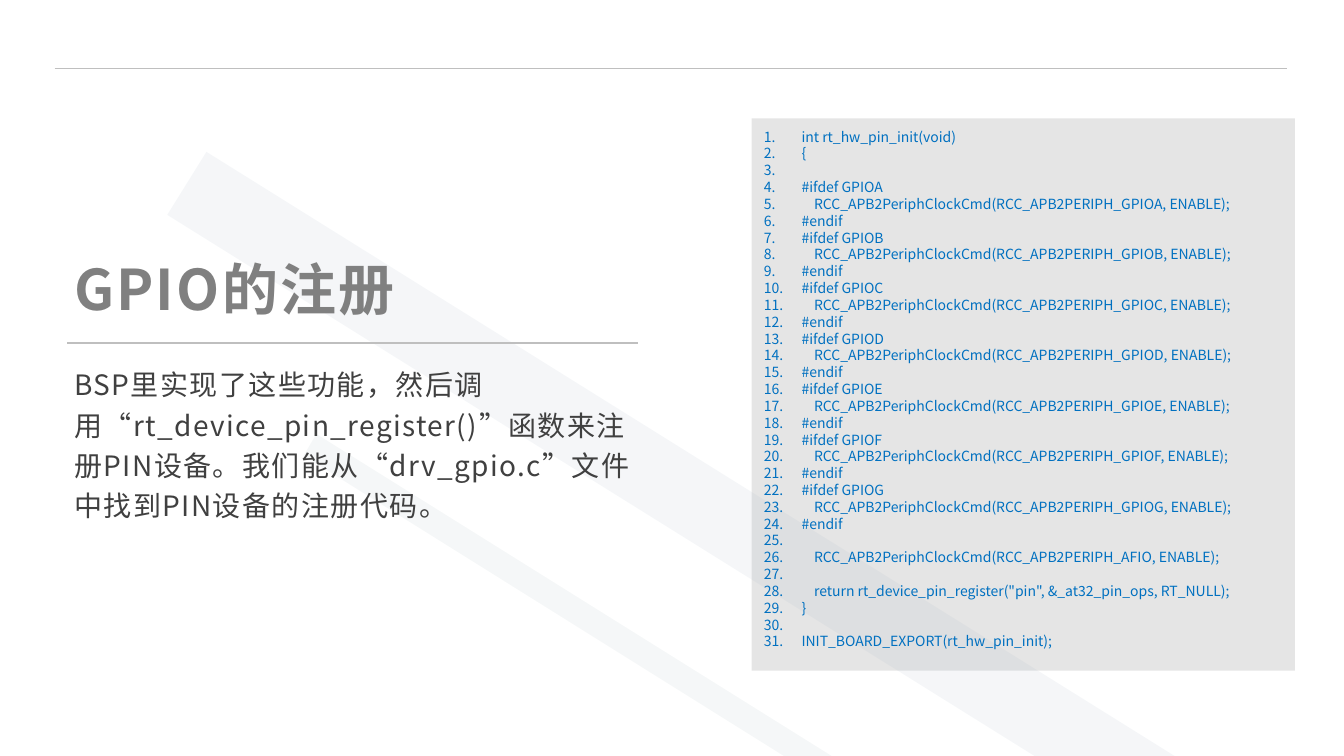
from pptx import Presentation
from pptx.dml.color import RGBColor
from pptx.enum import shapes, text
from pptx.oxml import ns, xmlchemy
from pptx.util import Pt

FONT = "Noto Sans CJK SC"
BLANK = " "  # no-break space, so that blank code lines keep their number


def add_xml(parent, tag, **attributes):
    child = xmlchemy.OxmlElement(tag)
    for name, value in attributes.items():
        child.set(name, str(value))
    parent.append(child)
    return child


def rgb(hex_color):
    return RGBColor.from_string(hex_color)


def format_paragraph(para, content, size=20, color="404040", bold=False,
                     tracking=0, line_spacing=None, after=0, numbered=False):
    """Fill one paragraph; tracking is the letter spacing in points."""
    hanging = Pt(27) if numbered else 0
    properties = para._p.get_or_add_pPr()
    properties.set("marL", str(hanging))
    properties.set("indent", str(-hanging))
    para.alignment = text.PP_ALIGN.LEFT
    para.space_before, para.space_after = Pt(0), Pt(after)
    para.line_spacing = line_spacing
    if numbered:
        add_xml(properties, "a:buFont", typeface="+mj-lt")
        add_xml(properties, "a:buAutoNum", type="arabicPeriod")
    else:
        add_xml(properties, "a:buNone")
    span = para.add_run()
    span.text = content
    span.font.size, span.font.bold = Pt(size), bold
    span.font.color.rgb = rgb(color)
    span.font.name = FONT
    run_properties = span.font._element
    run_properties.set("spc", str(round(tracking * 100)))
    add_xml(run_properties, "a:ea", typeface=FONT)


class SlideBuilder:
    def __init__(self, page, rule_color):
        self.page = page
        self.rule_color = rule_color

    def paint(self, shape, color, alpha):
        shape.shadow.inherit = False
        shape.line.fill.background()
        shape.fill.solid()
        shape.fill.fore_color.rgb = rgb(color)
        fill_color = shape._element.spPr.find(".//" + ns.qn("a:srgbClr"))
        add_xml(fill_color, "a:alpha", val=alpha * 1000)

    def panel(self, left, top, width, height, color, alpha):
        box = self.page.shapes.add_shape(
            shapes.MSO_SHAPE.RECTANGLE, Pt(left), Pt(top), Pt(width), Pt(height))
        self.paint(box, color, alpha)

    def band(self, corners, color, alpha):
        start, *others = [(Pt(x), Pt(y)) for x, y in corners]
        builder = self.page.shapes.build_freeform(*start)
        builder.add_line_segments(others, close=True)
        self.paint(builder.convert_to_shape(), color, alpha)

    def rule(self, left, right, y):
        line = self.page.shapes.add_connector(
            shapes.MSO_CONNECTOR.STRAIGHT, Pt(left), Pt(y), Pt(right), Pt(y))
        line.line.color.rgb = rgb(self.rule_color)
        line.line.width = Pt(1)
        add_xml(line._element.spPr, "a:effectLst")

    def fill_text(self, box, lines, margins, anchor, **style):
        frame = box.text_frame
        frame.word_wrap = True
        frame.auto_size = text.MSO_AUTO_SIZE.NONE
        frame.vertical_anchor = anchor
        frame.margin_left = frame.margin_right = Pt(margins[0])
        frame.margin_top = frame.margin_bottom = Pt(margins[1])
        for index, line in enumerate(lines):
            para = frame.add_paragraph() if index else frame.paragraphs[0]
            format_paragraph(para, line, **style)

    def placeholder(self, index, left, top, width, height, content,
                    anchor=text.MSO_ANCHOR.TOP, **style):
        """Place a template placeholder in front of the shapes drawn so far."""
        box = self.page.placeholders[index]
        box.left, box.top, box.width, box.height = map(Pt, (left, top, width, height))
        self.page.shapes.element.append(box.element)
        self.fill_text(box, [content], (5, 2.5), anchor, **style)

    def code(self, left, top, width, height, lines, **style):
        box = self.page.shapes.add_textbox(Pt(left), Pt(top), Pt(width), Pt(height))
        self.fill_text(box, lines, (7.2, 3.6), text.MSO_ANCHOR.TOP,
                       numbered=True, **style)


def pin_init_source():
    lines = ["int rt_hw_pin_init(void)", "{", BLANK]
    for port in "ABCDEFG":
        lines += [f"#ifdef GPIO{port}",
                  f"    RCC_APB2PeriphClockCmd(RCC_APB2PERIPH_GPIO{port}, ENABLE);",
                  "#endif"]
    return lines + [
        BLANK,
        "    RCC_APB2PeriphClockCmd(RCC_APB2PERIPH_AFIO, ENABLE);",
        BLANK,
        '    return rt_device_pin_register("pin", &_at32_pin_ops, RT_NULL);',
        "}",
        BLANK,
        "INIT_BOARD_EXPORT(rt_hw_pin_init);",
    ]


def main():
    deck = Presentation()
    deck.slide_width, deck.slide_height = Pt(960), Pt(540)
    slide = SlideBuilder(deck.slides.add_slide(deck.slide_layouts[1]), "BFBFBF")

    slide.panel(537, 84.5, 388, 394.5, "000000", 10)
    slide.band([(226, 310), (594, 540), (560, 540), (217, 325.5)], "A1B4BE", 10)
    slide.band([(147.5, 108.5), (839, 540), (739, 540), (119.5, 153.5)], "9EAFC4", 10)
    slide.rule(39, 919.5, 49)
    slide.rule(48, 456, 245)

    slide.placeholder(0, 48, 124, 408, 108, "GPIO的注册", text.MSO_ANCHOR.BOTTOM,
                      size=40, color="808080", bold=True, tracking=1.6)
    slide.placeholder(
        1, 48, 255.5, 408, 160.5,
        "BSP里实现了这些功能，然后调用“rt_device_pin_register()”函数来"
        "注册PIN设备。我们能从“drv_gpio.c”文件中找到PIN设备的注册代码。",
        tracking=1, line_spacing=1.2, after=8)
    slide.code(538.5, 88, 388, 383, pin_init_source(), size=10, color="0070C0")

    deck.save("out.pptx")


if __name__ == "__main__":
    main()
